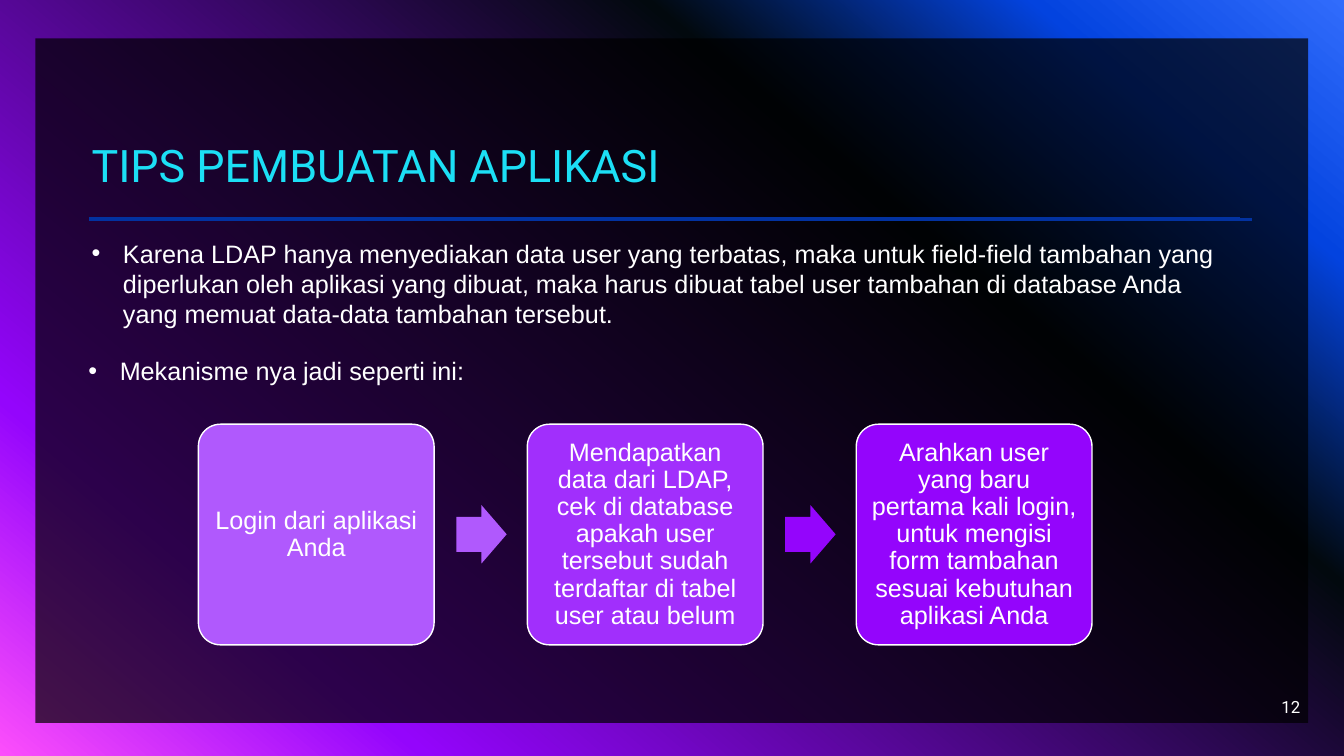
from copy import deepcopy

from lxml.etree import SubElement
from pptx import Presentation
from pptx.dml.color import RGBColor
from pptx.enum.shapes import MSO_CONNECTOR, MSO_SHAPE
from pptx.enum.text import MSO_ANCHOR, PP_ALIGN
from pptx.oxml.ns import qn
from pptx.util import Cm, Pt

COLORS = {
    "white": "FFFFFF", "black": "000000", "cyan": "1CDFF5", "rule": "0232A0",
    "light": "B059FD", "medium": "A12FFC", "violet": "9405FC",
    "sky": "316CFC", "blue": "0343DF", "night": "02090E", "pink": "FC4EFB",
}
BACKDROP = [(0, "sky"), (0.14, "blue"), (0.31, "night"), (0.81, "violet"), (1, "pink")]
BULLETS = [
    ((2.06, 5.87, 29.21, 2.57),
     "Karena LDAP hanya menyediakan data user yang terbatas, maka untuk field-field tambahan yang "
     "diperlukan oleh aplikasi yang dibuat, maka harus dibuat tabel user tambahan di database Anda "
     "yang memuat data-data tambahan tersebut."),
    ((1.98, 8.84, 29.21, 1.02), "Mekanisme nya jadi seperti ini:"),
]
STEPS = [
    ("light", "Login dari aplikasi Anda"),
    ("medium", "Mendapatkan data dari LDAP, cek di database apakah user tersebut sudah "
               "terdaftar di tabel user atau belum"),
    ("violet", "Arahkan user yang baru pertama kali login, untuk mengisi form tambahan "
               "sesuai kebutuhan aplikasi Anda"),
]
ARROW_COLORS = ["light", "violet"]
STEP_LEFT, STEP_PITCH, ARROW_OFFSET = 5.0, 8.29, 6.5


class SlideBuilder:
    """Holds the style and the current slide, and draws each kind of element."""

    def __init__(self, presentation):
        self.slide = presentation.slides.add_slide(presentation.slide_layouts[6])
        self.shapes = self.slide.shapes

    def color(self, name):
        return RGBColor.from_string(COLORS[name])

    def background(self, stops, angle):
        fill = self.slide.background.fill
        fill.gradient()
        fill.gradient_angle = 360 - angle
        stop_list = next(self.slide.element.iter(qn("a:gsLst")))
        while len(stop_list) < len(stops):
            stop_list.append(deepcopy(stop_list[0]))
        for stop, (position, name) in zip(fill.gradient_stops, stops):
            stop.color.rgb = self.color(name)
            stop.position = position

    def shape(self, kind, box, fill, line=None, adjustments=(), opacity=None):
        shape = self.shapes.add_shape(kind, *map(Cm, box))
        shape.shadow.inherit = False
        shape.fill.solid()
        shape.fill.fore_color.rgb = self.color(fill)
        for index, value in enumerate(adjustments):
            shape.adjustments[index] = value
        if line:
            shape.line.color.rgb = self.color(line)
            shape.line.width = Pt(1)
        else:
            shape.line.fill.background()
        if opacity:
            fill_color = next(shape.element.spPr.iter(qn("a:srgbClr")))
            SubElement(fill_color, qn("a:alpha"), val=str(opacity * 1000))
        return shape

    def rule(self, left, right, top):
        line = self.shapes.add_connector(
            MSO_CONNECTOR.STRAIGHT, Cm(left), Cm(top), Cm(right), Cm(top))
        line.line.color.rgb = self.color("rule")
        line.line.width = Pt(2)
        SubElement(line.element.spPr, qn("a:effectLst"))

    def fill_text(self, shape, text, size=18, font="Arial", color="white",
                  align=PP_ALIGN.LEFT, spacing=1.0, **frame_format):
        frame = shape.text_frame
        for name, value in {"word_wrap": True, **frame_format}.items():
            setattr(frame, name, value)
        paragraph = frame.paragraphs[0]
        paragraph.alignment = align
        paragraph.line_spacing = spacing
        run = paragraph.add_run()
        run.text = text
        for name, value in {"size": Pt(size), "name": font}.items():
            setattr(run.font, name, value)
        run.font.color.rgb = self.color(color)
        return paragraph

    def text(self, box, text, **text_format):
        return self.fill_text(self.shapes.add_textbox(*map(Cm, box)), text, **text_format)

    def bullet(self, box, text):
        properties = self.text(box, text)._p.get_or_add_pPr()
        properties.set("marL", str(Cm(0.79)))
        properties.set("indent", str(-Cm(0.79)))
        SubElement(properties, qn("a:buFont"), typeface="Arial")
        SubElement(properties, qn("a:buChar"), char="•")

    def step(self, left, color, text):
        shape = self.shape(MSO_SHAPE.ROUNDED_RECTANGLE, (left, 10.69, 5.94, 5.56),
                           color, "white", [0.1])
        margins = {f"margin_{side}": Cm(0.18) for side in ("left", "right", "top", "bottom")}
        self.fill_text(shape, text, align=PP_ALIGN.CENTER, spacing=0.9,
                       vertical_anchor=MSO_ANCHOR.MIDDLE, **margins)

    def arrow(self, left, color):
        self.shape(MSO_SHAPE.RIGHT_ARROW, (left, 12.73, 1.27, 1.47), color,
                   adjustments=[0.6, 0.5])


def main():
    presentation = Presentation()
    presentation.slide_width = Cm(33.87)
    presentation.slide_height = Cm(19.05)
    builder = SlideBuilder(presentation)
    builder.background(BACKDROP, 130)
    builder.shape(MSO_SHAPE.RECTANGLE, (0.89, 0.97, 32.08, 17.25), "black", opacity=70)
    builder.rule(2.24, 31.55, 5.54)
    builder.rule(2.24, 31.24, 5.51)
    builder.text((2.31, 1.78, 29.21, 3.18), "TIPS PEMBUATAN APLIKASI", size=32,
                 font="Roboto", color="cyan", spacing=0.9,
                 vertical_anchor=MSO_ANCHOR.BOTTOM, margin_left=0)
    builder.text((25.4, 17.3, 7.62, 1.02), "12", size=12, font="Roboto",
                 align=PP_ALIGN.RIGHT, vertical_anchor=MSO_ANCHOR.MIDDLE)
    for box, text in BULLETS:
        builder.bullet(box, text)
    for index, (color, text) in enumerate(STEPS):
        builder.step(STEP_LEFT + index * STEP_PITCH, color, text)
    for index, color in enumerate(ARROW_COLORS):
        builder.arrow(STEP_LEFT + ARROW_OFFSET + index * STEP_PITCH, color)
    presentation.save("out.pptx")


if __name__ == "__main__":
    main()
